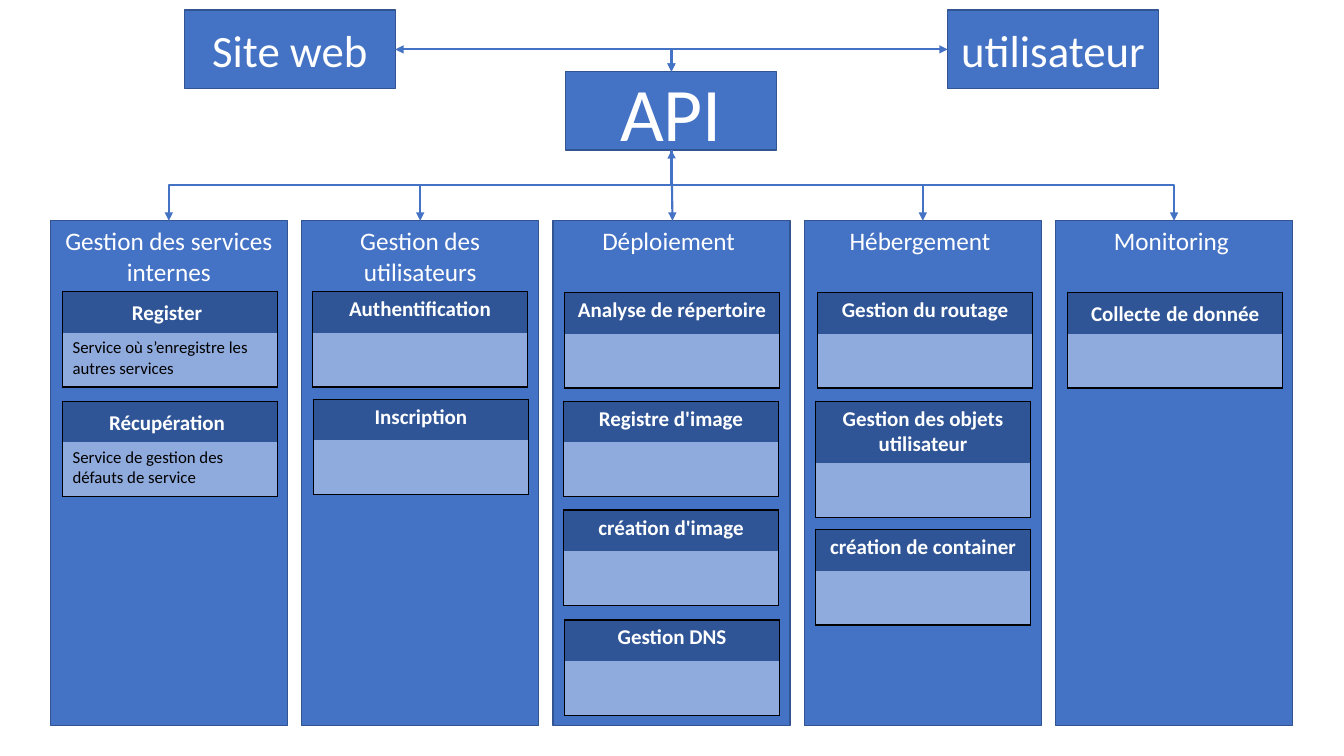
from pptx import Presentation
from pptx.dml.color import RGBColor
from pptx.enum.shapes import MSO_CONNECTOR, MSO_SHAPE
from pptx.enum.text import MSO_ANCHOR, PP_ALIGN
from pptx.oxml.ns import qn
from pptx.util import Inches, Pt
from lxml import etree

RECT, ELBOW, LINE = MSO_SHAPE.RECTANGLE, MSO_CONNECTOR.ELBOW, MSO_CONNECTOR.STRAIGHT
TOP, MIDDLE = MSO_ANCHOR.TOP, MSO_ANCHOR.MIDDLE
CENTER, LEFT = PP_ALIGN.CENTER, PP_ALIGN.LEFT
BLUE, EDGE, DARK, PALE = "4472C4", "325491", "2F5597", "8FAADC"
WHITE, BLACK = "FFFFFF", "000000"
FONT = "Calibri"

# Content: top boxes (text, left, top, size)
NODES = [("API", 5.61, 0.71, 54), ("Site web", 1.83, 0.1, 32), ("utilisateur", 9.4, 0.1, 32)]

# Columns: title, then cards (left, top, header runs, body)
COLUMNS = [
    ("Gestion des services internes", [
        (0.62, 2.89, ["Register", " "], "Service où s’enregistre les autres services"),
        (0.62, 3.98, ["Récupération", " "], "Service de gestion des défauts de service")]),
    ("Gestion des utilisateurs", [
        (3.1, 2.89, ["Authentification"], ""),
        (3.11, 3.96, ["Inscription"], "")]),
    ("Déploiement ", [
        (5.6, 2.9, ["Analyse de répertoire"], ""),
        (5.59, 3.98, ["Registre d'image"], ""),
        (5.59, 5.06, ["création d'image"], ""),
        (5.6, 6.15, ["Gestion DNS"], "")]),
    ("Hébergement ", [
        (8.11, 2.9, ["Gestion du routage"], ""),
        (8.09, 3.98, ["Gestion des objets utilisateur"], ""),
        (8.09, 5.25, ["création de container"], "")]),
    ("Monitoring ", [
        (10.59, 2.9, ["Collecte", " ", "de donnée"], "")]),
]

# Layout, in inches
NODE_W, NODE_H = 2.09, 0.78
COL_X, COL_Y, COL_W, COL_H, PITCH = 0.5, 2.19, 2.35, 5.01, 2.4925
CARD_W, HEAD_H, TALL_H, BODY_H = 2.13, 0.41, 0.6, 0.54
WRAP = 24  # characters that fit on one header line
MID, API_TOP, API_END, LINK_Y = 6.66, 0.71, 1.49, 0.49

prs = Presentation()
prs.slide_width, prs.slide_height = Inches(13.33), Inches(7.5)
slide = prs.slides.add_slide(prs.slide_layouts[6])
shapes = slide.shapes


def color(code):
    return RGBColor.from_string(code)


def style(run, size, code, bold=False):
    font = run.font
    font.name, font.size, font.bold = FONT, Pt(size), bold
    font.color.rgb = color(code)


def box(text, x, y, w, h, size, anchor):
    shape = shapes.add_shape(RECT, *map(Inches, (x, y, w, h)))
    shape.shadow.inherit = False
    shape.fill.solid()
    shape.fill.fore_color.rgb = color(BLUE)
    shape.line.color.rgb = color(EDGE)
    shape.line.width = Pt(1)
    frame = shape.text_frame
    frame.text, frame.word_wrap, frame.vertical_anchor = text, True, anchor
    para = frame.paragraphs[0]
    para.alignment = CENTER
    style(para.runs[0], size, WHITE)


def edges(cell, sides):
    props = cell._tc.get_or_add_tcPr()
    for side in "LRTB":
        line = etree.SubElement(props, qn("a:ln" + side), w=str(Pt(1)))
        if side in sides:
            fill = etree.SubElement(line, qn("a:solidFill"))
            etree.SubElement(fill, qn("a:srgbClr"), val=BLACK)
        else:
            etree.SubElement(line, qn("a:noFill"))


def card(x, y, head, body):
    top = TALL_H if len("".join(head)) > WRAP else HEAD_H
    frame = shapes.add_table(2, 1, *map(Inches, (x, y, CARD_W, top + BODY_H)))
    table = frame.table
    table.first_row = table.horz_banding = False
    rows = [(top, head, 15, WHITE, DARK, "LRT", CENTER),
            (BODY_H, [body] if body else [], 12, BLACK, PALE, "LRB", LEFT)]
    for i, (high, parts, size, ink, back, sides, align) in enumerate(rows):
        table.rows[i].height = Inches(high)
        cell = table.cell(i, 0)
        edges(cell, sides)
        cell.fill.solid()
        cell.fill.fore_color.rgb = color(back)
        para = cell.text_frame.paragraphs[0]
        para.alignment = align
        for part in parts:
            run = para.add_run()
            run.text = part
            style(run, 18 if part == " " else size, ink, i == 0)


def link(kind, x1, y1, x2, y2, ends):
    conn = shapes.add_connector(kind, *map(Inches, (x1, y1, x2, y2)))
    conn.line.color.rgb = color(BLUE)
    conn.line.width = Pt(1.5)
    line = conn.line._get_or_add_ln()
    for end in ends:
        etree.SubElement(line, qn("a:" + end), type="triangle")
    props = conn._element.spPr
    etree.SubElement(props, qn("a:effectLst"))
    return props


def branch(x):
    """Elbow from the API box down to a column: a box turned a quarter."""
    run, drop = abs(x - MID), COL_Y - API_END
    cx, cy = (x + MID) / 2, (API_END + COL_Y) / 2
    side = 1 if x > MID else -1
    props = link(ELBOW, cx + side * drop / 2, cy - run / 2,
                 cx - side * drop / 2, cy + run / 2, ["tailEnd"])
    props.xfrm.set("rot", str((270 if side > 0 else 90) * 60000))


# Boxes and columns
for text, x, y, size in NODES:
    box(text, x, y, NODE_W, NODE_H, size, MIDDLE)
for i, (title, cards) in enumerate(COLUMNS):
    left = COL_X + i * PITCH
    box(title, left, COL_Y, COL_W, COL_H, 18, TOP)
    for item in cards:
        card(*item)
    if i != len(COLUMNS) // 2:
        branch(left + COL_W / 2)

# Links of the API box
BOTH = ["headEnd", "tailEnd"]
link(LINE, MID, API_END, MID + 0.01, COL_Y, BOTH)
for x in (NODES[1][1] + NODE_W, NODES[2][1]):
    props = link(ELBOW, x, LINK_Y, MID, API_TOP, BOTH)
    props.find(qn("a:prstGeom")).set("prst", "bentConnector2")

prs.save("out.pptx")
